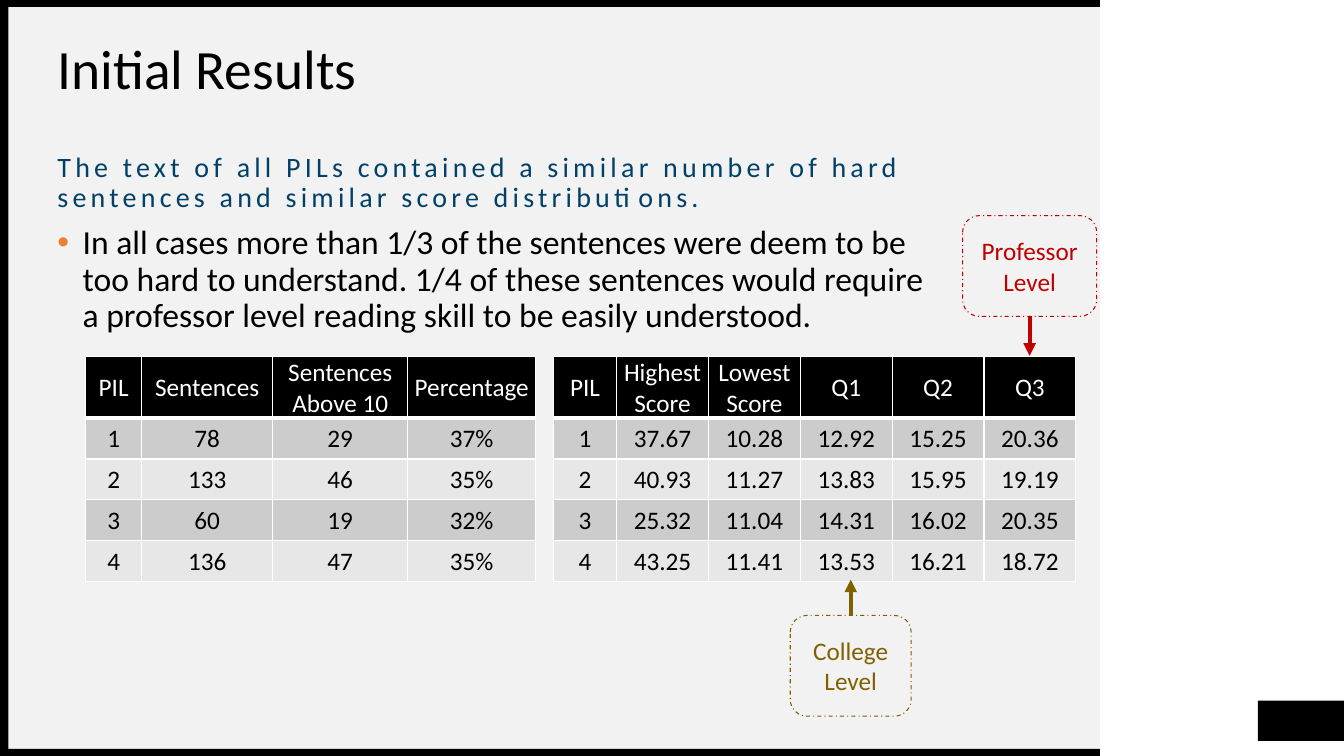
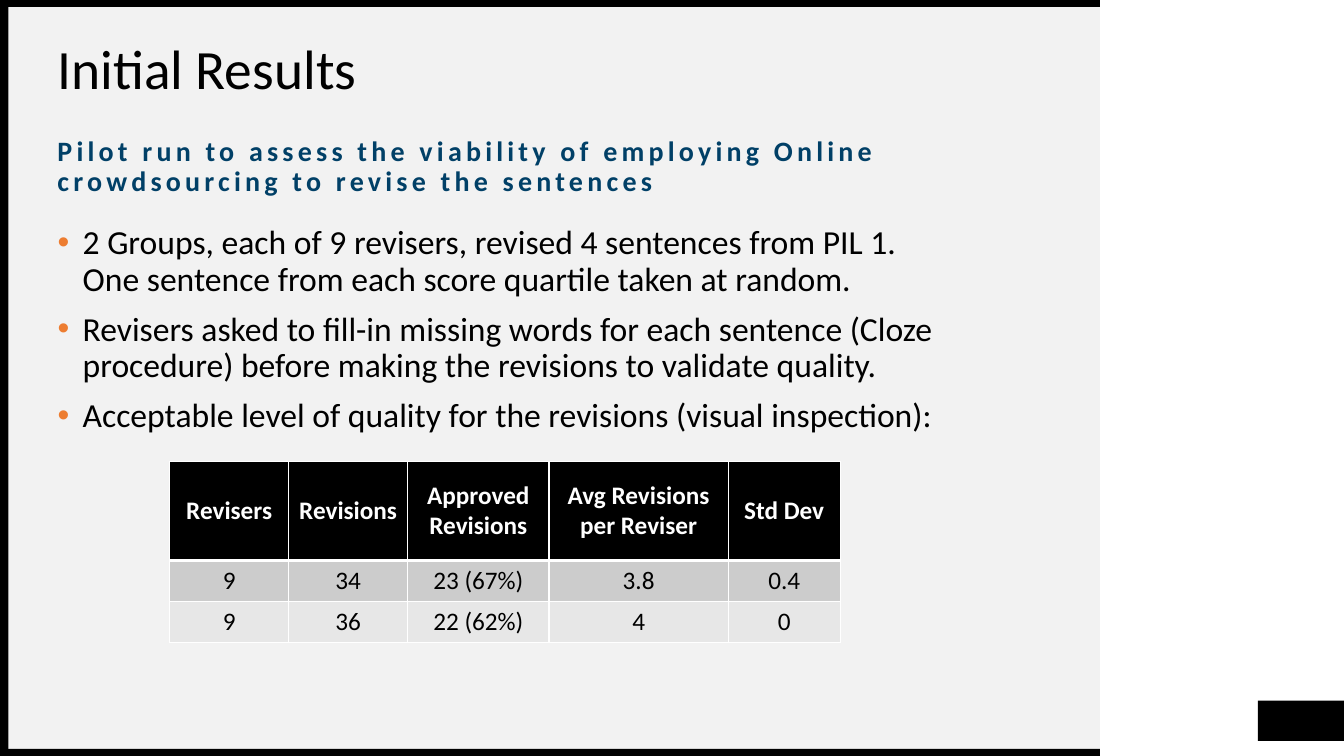
from lxml.etree import SubElement
from pptx import Presentation
from pptx.dml.color import RGBColor
from pptx.enum.dml import MSO_LINE
from pptx.enum.shapes import MSO_CONNECTOR, MSO_SHAPE
from pptx.enum.text import MSO_ANCHOR, PP_ALIGN
from pptx.oxml import parse_xml
from pptx.oxml.ns import nsdecls, qn
from pptx.util import Pt

# Shared style
WIDTH, HEIGHT = 960, 540
PANEL_RIGHT, EDGE = 785.75, 5
MARGIN = 34
FONT = "Calibri"
BLACK, WHITE, PANEL = "000000", "FFFFFF", "F2F2F2"
BLUE, ORANGE, RED, OLIVE = "014067", "ED7D31", "C00000", "806000"
BANDS = ("CCCCCC", "E7E7E7")
ROW_HEIGHT = 29.2
TIGHT = (0.7, 0.7, 0.7, 0)
NORMAL = (7.2, 3.6, 7.2, 3.6)


def colour(value):
    return RGBColor.from_string(value)


class Deck:
    def __init__(self):
        self.presentation = Presentation()
        self.presentation.slide_width = Pt(WIDTH)
        self.presentation.slide_height = Pt(HEIGHT)
        self.slide = None

    def new_slide(self, title):
        layout = self.presentation.slide_layouts[6]
        self.slide = self.presentation.slides.add_slide(layout)
        # Panel, footer block and frame
        self.block(6, EDGE, PANEL_RIGHT - 6, HEIGHT - 2 * EDGE, PANEL)
        self.block(898.5, 500.5, WIDTH - 898.5, 28.8, BLACK)
        for top in (0, HEIGHT - EDGE):
            self.block(0, top, PANEL_RIGHT, EDGE, BLACK)
        self.block(0, 0, 6, HEIGHT, BLACK)
        # Title
        frame = self.text_box(MARGIN, 34, 724, 34)
        frame.vertical_anchor = MSO_ANCHOR.MIDDLE
        self.run(self.paragraph(frame, 0.9), title, 39.6)

    def shape(self, kind, left, top, width, height):
        shape = self.slide.shapes.add_shape(
            kind, Pt(left), Pt(top), Pt(width), Pt(height))
        shape.shadow.inherit = False
        return shape

    def block(self, left, top, width, height, fill):
        shape = self.shape(MSO_SHAPE.RECTANGLE, left, top, width, height)
        shape.fill.solid()
        shape.fill.fore_color.rgb = colour(fill)
        shape.line.fill.background()

    def margins(self, holder, insets):
        (holder.margin_left, holder.margin_top,
         holder.margin_right, holder.margin_bottom) = map(Pt, insets)

    def text_box(self, left, top, width, height):
        frame = self.slide.shapes.add_textbox(
            Pt(left), Pt(top), Pt(width), Pt(height)).text_frame
        frame.word_wrap = True
        self.margins(frame, NORMAL)
        return frame

    def paragraph(self, frame, line_spacing=1.0, before=0, align=PP_ALIGN.LEFT):
        paragraph = frame.paragraphs[0]
        if paragraph.runs:
            paragraph = frame.add_paragraph()
        paragraph.line_spacing = line_spacing
        paragraph.space_before = Pt(before)
        paragraph.alignment = align
        return paragraph

    def run(self, paragraph, text, size, ink=BLACK, bold=False, spacing=0):
        run = paragraph.add_run()
        run.text = text
        run.font.name = FONT
        run.font.size = Pt(size)
        run.font.bold = bold
        run.font.color.rgb = colour(ink)
        if spacing:
            run._r.get_or_add_rPr().set("spc", str(spacing * 100))

    def heading(self, top, text, bold=False):
        frame = self.text_box(MARGIN, top, 700.5, 48)
        self.run(self.paragraph(frame, 0.9, 10), text, 20, BLUE, bold, 3)

    def bullets(self, width, texts):
        frame = self.text_box(MARGIN, 157.7, width, 321)
        for text in texts:
            paragraph = self.paragraph(frame, 0.9, 10)
            self.run(paragraph, text, 24)
            properties = paragraph._p.get_or_add_pPr()
            properties.set("marL", str(Pt(18)))
            properties.set("indent", str(Pt(-18)))
            bullet_colour = SubElement(properties, qn("a:buClr"))
            SubElement(bullet_colour, qn("a:srgbClr"), val=ORANGE)
            SubElement(properties, qn("a:buFont"), typeface="Arial")
            SubElement(properties, qn("a:buChar"), char="•")

    def borders(self, cell, top, bottom):
        properties = cell._tc.get_or_add_tcPr()
        sides = (("lnL", 1), ("lnR", 1), ("lnT", top), ("lnB", bottom))
        for index, (side, width) in enumerate(sides):
            properties.insert(index, parse_xml(
                f'<a:{side} {nsdecls("a")} w="{Pt(width)}"><a:solidFill>'
                f'<a:srgbClr val="{WHITE}"/></a:solidFill></a:{side}>'))

    def table(self, left, top, widths, header_height, rows, insets=NORMAL,
              bold_header=False):
        heights = [header_height] + [ROW_HEIGHT] * (len(rows) - 1)
        table = self.slide.shapes.add_table(
            len(rows), len(widths), Pt(left), Pt(top),
            Pt(sum(widths)), Pt(sum(heights))).table
        for column, width in zip(table.columns, widths):
            column.width = Pt(width)
        for index, (values, height) in enumerate(zip(rows, heights)):
            table.rows[index].height = Pt(height)
            header = index == 0
            for position, value in enumerate(values):
                cell = table.cell(index, position)
                cell.fill.solid()
                cell.fill.fore_color.rgb = colour(
                    BLACK if header else BANDS[(index - 1) % 2])
                cell.vertical_anchor = MSO_ANCHOR.MIDDLE
                self.margins(cell, insets)
                self.borders(cell, 3 if index == 1 else 1, 3 if header else 1)
                paragraph = self.paragraph(
                    cell.text_frame, align=PP_ALIGN.CENTER)
                self.run(paragraph, value, 18, WHITE if header else BLACK,
                         header and bold_header)

    def callout(self, left, top, width, text, ink):
        shape = self.shape(MSO_SHAPE.ROUNDED_RECTANGLE, left, top, width, 72)
        shape.fill.background()
        shape.line.color.rgb = colour(ink)
        shape.line.width = Pt(0.75)
        shape.line.dash_style = MSO_LINE.DASH_DOT
        frame = shape.text_frame
        frame.word_wrap = True
        frame.vertical_anchor = MSO_ANCHOR.MIDDLE
        paragraph = self.paragraph(frame, align=PP_ALIGN.CENTER)
        self.run(paragraph, text, 18, ink)

    def arrow(self, x, start, end, ink):
        connector = self.slide.shapes.add_connector(
            MSO_CONNECTOR.STRAIGHT, Pt(x), Pt(start), Pt(x), Pt(end))
        connector.line.color.rgb = colour(ink)
        connector.line.width = Pt(3)
        SubElement(connector.line._get_or_add_ln(), qn("a:tailEnd"),
                   type="triangle")
        SubElement(connector._element.spPr, qn("a:effectLst"))


deck = Deck()

# Slide 1: sentence counts and score distributions
deck.new_slide("Initial Results")
deck.bullets(643.7, [
    "In all cases more than 1/3 of the sentences were deem to be too hard to "
    "understand. 1/4 of these sentences would require a professor level "
    "reading skill to be easily understood."])
deck.heading(105.8, "The text of all PILs contained a similar number of hard "
             "sentences and similar score distributions.")
deck.table(61.2, 254.6, [40, 93.6, 96.5, 91.4], 44, [
    ("PIL", "Sentences", "Sentences Above 10", "Percentage"),
    ("1", "78", "29", "37%"),
    ("2", "133", "46", "35%"),
    ("3", "60", "19", "32%"),
    ("4", "136", "47", "35%")], TIGHT)
deck.table(395.3, 254.6, [45.2] + [65.6] * 5, 44, [
    ("PIL", "Highest Score", "Lowest Score", "Q1", "Q2", "Q3"),
    ("1", "37.67", "10.28", "12.92", "15.25", "20.36"),
    ("2", "40.93", "11.27", "13.83", "15.95", "19.19"),
    ("3", "25.32", "11.04", "14.31", "16.02", "20.35"),
    ("4", "43.25", "11.41", "13.53", "16.21", "18.72")], TIGHT)
deck.callout(564.5, 439.6, 86.4, "College Level", OLIVE)
deck.callout(687.6, 154, 95.8, "Professor Level", RED)
deck.arrow(607.7, 439.6, 414, OLIVE)
deck.arrow(735.5, 226, 254.2, RED)

# Slide 2: pilot run
deck.new_slide("Initial Results")
deck.bullets(653.8, [
    "2 Groups, each of 9 revisers, revised 4 sentences from PIL 1. One "
    "sentence from each score quartile taken at random.",
    "Revisers asked to fill-in missing words for each sentence (Cloze "
    "procedure) before making the revisions to validate quality.",
    "Acceptable level of quality for the revisions (visual inspection):"])
deck.heading(94.3, "Pilot run to assess the viability of employing Online "
             "crowdsourcing to revise the sentences", bold=True)
deck.table(121.2, 329.4, [85, 85, 101, 128, 80], 71, [
    ("Revisers", "Revisions", "Approved Revisions",
     "Avg Revisions per Reviser", "Std Dev"),
    ("9", "34", "23 (67%)", "3.8", "0.4"),
    ("9", "36", "22 (62%)", "4", "0")], bold_header=True)

deck.presentation.save("out.pptx")
